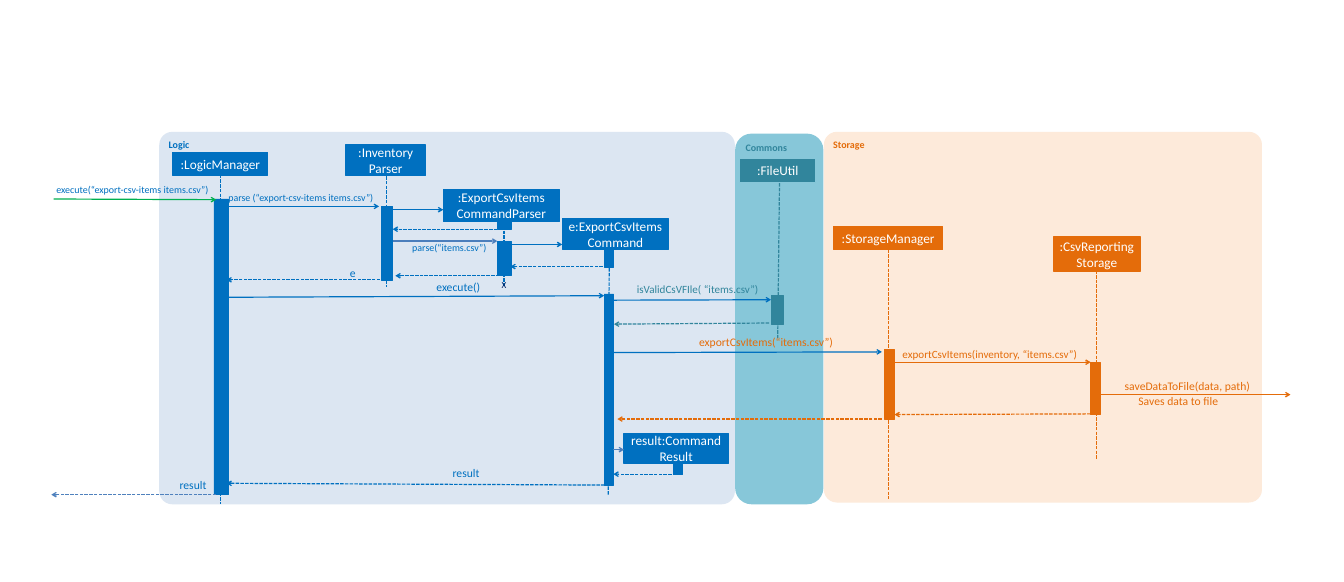
from dataclasses import dataclass

from pptx import Presentation
from pptx.dml.color import RGBColor
from pptx.enum.dml import MSO_LINE
from pptx.enum.shapes import MSO_CONNECTOR, MSO_SHAPE
from pptx.enum.text import MSO_ANCHOR, PP_ALIGN
from pptx.oxml.ns import qn
from pptx.util import Cm, Pt
from lxml import etree

DASH = MSO_LINE.SQUARE_DOT
RECT, ROUND = MSO_SHAPE.RECTANGLE, MSO_SHAPE.ROUNDED_RECTANGLE
STRAIGHT = MSO_CONNECTOR.STRAIGHT
TOP, MIDDLE = MSO_ANCHOR.TOP, MSO_ANCHOR.MIDDLE
LEFT, CENTER, RIGHT = PP_ALIGN.LEFT, PP_ALIGN.CENTER, PP_ALIGN.RIGHT

COLORS = {
    "blue": "0070C0", "steel": "4B7EBC", "slate": "4F81BD", "navy": "002060",
    "green": "00B050", "orange": "E46C0A", "teal": "31859C", "white": "FFFFFF",
    "pale blue": "DCE6F2", "pale teal": "87C7D9", "pale orange": "FDEADA",
}
FONT = "Calibri"
LINE_CM = 0.043  # line height in cm per point of type


@dataclass
class Panel:
    text: str
    area: tuple[float, float, float, float]
    fill: str
    color: str
    corner: float = 0.035


@dataclass
class Head:
    text: str
    area: tuple[float, float, float, float]
    color: str = "blue"
    edge: str = ""


@dataclass
class Bar:
    area: tuple[float, float, float, float]
    color: str = "blue"


@dataclass
class Line:
    start: tuple[float, float]
    end: tuple[float, float]
    color: str = "blue"


@dataclass
class Label:
    text: str
    left: float
    top: float
    width: float
    size: float = 14.7
    color: str = "blue"


PANELS = [
    Panel("Commons", (32.82, 5.97, 3.94, 16.56), "pale teal", "teal", 0.185),
    Panel("Storage", (36.78, 5.89, 19.56, 16.56), "pale orange", "orange"),
    Panel("Logic", (7.11, 5.89, 25.7, 16.64), "pale blue", "blue"),
]
HEADS = [
    Head(":LogicManager", (7.72, 6.81, 4.24, 1.02)),
    Head(":Inventory\nParser", (15.44, 6.48, 3.56, 1.37)),
    Head(":ExportCsvItems\nCommandParser", (19.79, 8.46, 5.18, 1.45)),
    Head("e:ExportCsvItems\vCommand", (25.1, 9.78, 4.75, 1.35)),
    Head("result:Command Result", (27.86, 19.35, 4.65, 1.35)),
    Head(":FileUtil", (33.02, 7.06, 3.4, 1.09), "teal", "pale teal"),
    Head(":StorageManager", (37.21, 10.13, 4.88, 1.02), "orange"),
    Head(":CsvReporting\nStorage", (47.02, 10.59, 3.89, 1.52), "orange"),
]
LIVES = [
    Line((9.86, 7.59), (9.86, 22.53)),
    Line((17.25, 7.87), (17.25, 12.83)),
    Line((22.5, 9.88), (22.5, 12.78)),
    Line((27.2, 11.13), (27.15, 22.1)),
    Line((34.8, 8.18), (34.72, 15.09), "teal"),
    Line((39.65, 11.15), (39.65, 22.3), "orange"),
    Line((48.95, 11.86), (48.95, 20.55), "orange"),
]
BARS = [
    Bar((9.55, 8.89, 0.66, 13.21)),
    Bar((17.02, 9.22, 0.51, 3.3)),
    Bar((22.2, 9.88, 0.61, 0.36)),
    Bar((22.2, 10.77, 0.61, 1.55)),
    Bar((26.97, 11.13, 0.43, 0.81)),
    Bar((26.97, 13.13, 0.43, 8.53)),
    Bar((30.05, 20.7, 0.43, 0.51)),
    Bar((34.44, 13.21, 0.53, 1.27), "teal"),
    Bar((39.5, 15.62, 0.41, 3.12), "orange"),
    Bar((48.69, 16.18, 0.43, 2.34), "orange"),
]
CALLS = [
    Line((2.39, 8.89), (9.65, 8.92), "green"),
    Line((9.91, 9.22), (16.92, 9.22)),
    Line((17.4, 9.37), (19.79, 9.37)),
    Line((17.55, 10.77), (22.2, 10.77), "steel"),
    Line((22.78, 10.92), (25.1, 10.92)),
    Line((10.11, 13.28), (26.97, 13.21)),
    Line((27.18, 13.41), (34.42, 13.39)),
    Line((27.41, 15.75), (39.37, 15.72)),
    Line((39.9, 16.18), (48.69, 16.18), "orange"),
    Line((49.1, 17.63), (57.61, 17.63), "orange"),
    Line((27.38, 20.09), (27.86, 20.09), "steel"),
]
REPLIES = [
    Line((22.2, 10.24), (17.53, 10.24)),
    Line((27.13, 11.91), (22.78, 11.91)),
    Line((22.5, 12.32), (17.65, 12.32)),
    Line((16.97, 12.5), (10.11, 12.5)),
    Line((34.34, 14.43), (27.41, 14.48), "teal"),
    Line((48.9, 18.49), (39.93, 18.52), "orange"),
    Line((39.37, 18.72), (27.56, 18.72), "orange"),
    Line((30.2, 21.18), (27.38, 21.18)),
    Line((27, 21.67), (10.11, 21.59)),
    Line((9.65, 22.1), (2.29, 22.1), "slate"),
]
LABELS = [
    Label("execute(“export-csv-items items.csv”)", 2.06, 8.2, 7.24, 12.6),
    Label("parse (“export-csv-items items.csv”)", 10.06, 8.56, 6.6, 12.6),
    Label("parse(“items.csv”)", 18.31, 10.77, 3.4, 12.6),
    Label("e", 15.24, 11.86, 0.64),
    Label("X", 22.38, 12.5, 0.23, 11.6, "navy"),
    Label("execute()", 18.95, 12.52, 2.49),
    Label("isValidCsVFIle( “items.csv”)", 25.6, 12.62, 8.26, 14, "teal"),
    Label("exportCsvItems(“items.csv”)", 29.77, 14.96, 7.42, color="orange"),
    Label("exportCsvItems(inventory, “items.csv”)", 39.83, 15.54, 8.26, 14, "orange"),
    Label("saveDataToFile(data, path)", 49.66, 16.92, 6.15, color="orange"),
    Label("Saves data to file", 49.83, 17.6, 4.55, color="orange"),
    Label("result", 19.61, 20.83, 1.8),
    Label("result", 7.01, 21.36, 2.21),
]


def rgb(name: str) -> RGBColor:
    return RGBColor.from_string(COLORS[name])


def write(shape, text: str, color: str, size: float, align, anchor, bold=False) -> None:
    frame = shape.text_frame
    frame.word_wrap = True
    frame.vertical_anchor = anchor
    frame.text = text
    style = {"name": FONT, "size": Pt(size), "bold": bold}
    for para in frame.paragraphs:
        para.alignment = align
        for key, value in style.items():
            setattr(para.font, key, value)
        para.font.color.rgb = rgb(color)


def block(shapes, kind, area: tuple, fill: str, edge: str = "", width: float = 0.75):
    shape = shapes.add_shape(kind, *map(Cm, area))
    shape.shadow.inherit = False
    shape.fill.solid()
    shape.fill.fore_color.rgb = rgb(fill)
    if edge:
        shape.line.color.rgb = rgb(edge)
        shape.line.width = Pt(width)
    else:
        shape.line.fill.background()
    return shape


def link(shapes, item: Line, dashed: bool, arrow: bool) -> None:
    line = shapes.add_connector(STRAIGHT, *map(Cm, item.start + item.end))
    line.line.color.rgb = rgb(item.color)
    line.line.width = Pt(1.5)
    if dashed:
        line.line.dash_style = DASH
    props = line._element.spPr
    if arrow:
        etree.SubElement(props.find(qn("a:ln")), qn("a:tailEnd"), type="arrow")
    etree.SubElement(props, qn("a:effectLst"))


def note(shapes, item: Label) -> None:
    area = (item.left, item.top, item.width, item.size * LINE_CM)
    box = shapes.add_textbox(*map(Cm, area))
    for side in ("left", "top", "right", "bottom"):
        setattr(box.text_frame, f"margin_{side}", 0)
    write(box, item.text, item.color, item.size, RIGHT, TOP)


def main() -> None:
    deck = Presentation()
    deck.slide_width, deck.slide_height = Cm(60), Cm(26)
    shapes = deck.slides.add_slide(deck.slide_layouts[6]).shapes
    for panel in PANELS:
        shape = block(shapes, ROUND, panel.area, panel.fill)
        shape.adjustments[0] = panel.corner
        write(shape, panel.text, panel.color, 12.6, LEFT, TOP, bold=True)
    for life in LIVES:
        link(shapes, life, dashed=True, arrow=False)
    for head in HEADS:
        shape = block(shapes, RECT, head.area, head.color, head.edge or head.color, 1.5)
        write(shape, head.text, "white", 16.8, CENTER, MIDDLE)
    for bar in BARS:
        block(shapes, RECT, bar.area, bar.color, bar.color)
    for call in CALLS:
        link(shapes, call, dashed=False, arrow=True)
    for reply in REPLIES:
        link(shapes, reply, dashed=True, arrow=True)
    for label in LABELS:
        note(shapes, label)
    deck.save("out.pptx")


if __name__ == "__main__":
    main()
